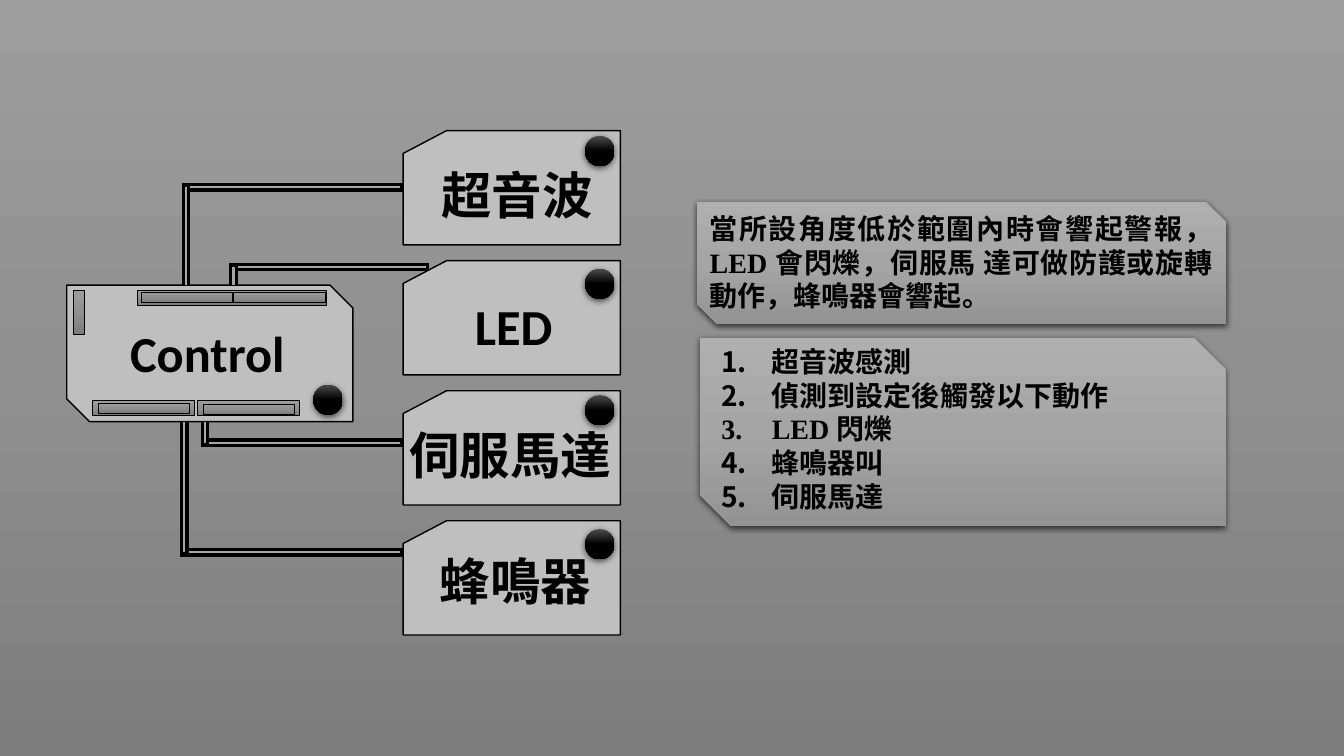
from copy import deepcopy
from lxml.etree import SubElement
from pptx import Presentation
from pptx.dml.color import RGBColor
from pptx.enum.shapes import MSO_CONNECTOR, MSO_SHAPE
from pptx.enum.text import MSO_AUTO_SIZE, PP_ALIGN
from pptx.oxml.ns import qn
from pptx.util import Inches, Pt

prs = Presentation()
prs.slide_width, prs.slide_height = Inches(13.333), Inches(7.5)
slide = prs.slides.add_slide(prs.slide_layouts[6])
rgb = RGBColor.from_string

# Grid of 160 columns by 90 rows, with square cells
U = prs.slide_height / 90
BLACK, CARD, WIRE = "000000", "BFBFBF", "A6A6A6"
METAL = ["9D9D9D", "909090", "7C7C7C"]
PANEL = ["AFAFAF", "A5A5A5", "939393"]
PIN = ["4B4B4B", BLACK, BLACK]


def add_shape(kind, box, colours, line=0, shadow=False):
    """One colour gives a solid fill, three a top-to-bottom gradient."""
    sp = slide.shapes.add_shape(kind, *[round(v * U) for v in box])
    if len(colours) == 1:
        sp.fill.solid()
        sp.fill.fore_color.rgb = rgb(colours[0])
    else:
        sp.fill.gradient()
        stops = sp._element.spPr.find(qn("a:gradFill")).find(qn("a:gsLst"))
        stops.insert(1, deepcopy(stops[0]))
        for i, stop in enumerate(sp.fill.gradient_stops):
            stop.position = i / 2
            stop.color.rgb = rgb(colours[i])
        sp.fill.gradient_angle = 270
    if line:
        sp.line.color.rgb = rgb(BLACK)
        sp.line.width = Pt(line)
    else:
        sp.line.fill.background()
    sp.shadow.inherit = False
    if shadow:
        effects = sp._element.spPr.find(qn("a:effectLst"))
        shade = SubElement(effects, qn("a:outerShdw"), blurRad=str(Pt(4.5)),
                           dist=str(Pt(1.5)), dir="5400000", rotWithShape="0")
        colour = SubElement(shade, qn("a:srgbClr"), val=BLACK)
        SubElement(colour, qn("a:alpha"), val="63000")


def add_text(box, text, size, font, align=None):
    tb = slide.shapes.add_textbox(*[round(v * U) for v in box])
    tf = tb.text_frame
    tf.word_wrap = True
    tf.auto_size = MSO_AUTO_SIZE.SHAPE_TO_FIT_TEXT
    tf.text = text
    for p in tf.paragraphs:
        p.alignment = align
        for r in p.runs:
            r.font.size, r.font.name, r.font.bold = Pt(size), font, True
            r.font.color.rgb = rgb(BLACK)
    return tf


# Background
add_shape(MSO_SHAPE.RECTANGLE, (0, 0, 160, 90), METAL)

# Controller board with its sockets
add_shape(MSO_SHAPE.SNIP_2_DIAG_RECTANGLE, (7.95, 33.95, 34.05, 16.25), [CARD], 1)
add_text((14.3, 37.8, 33.7, 8.5), "Control", 36, "Calibri")
sockets = [(16.3, 34.55, 22.6, 1.8), (11, 47.7, 12.15, 1.8),
           (23.5, 47.7, 12.15, 1.8), (8.75, 34.55, 1.35, 5.3)]
slots = [(x, y, 10.9, 1.2) for x, y in
         [(11.7, 48), (24.2, 48.1), (16.8, 34.8), (27.8, 34.8)]]
for box in sockets + slots:
    add_shape(MSO_SHAPE.RECTANGLE, box, METAL, 0.5)
add_shape(MSO_SHAPE.OVAL, (37.3, 45.8, 3.5, 3.6), PIN, shadow=True)

# Module cards: name, label left, label top, pin top
modules = [("超音波", 51.35, 18.95, 16.2), ("LED", 55.35, 34.5, 32),
           ("伺服馬達", 47.55, 49.9, 47.05), ("蜂鳴器", 51.15, 64.9, 63)]
for i, (name, x, y, pin_y) in enumerate(modules):
    add_shape(MSO_SHAPE.FLOWCHART_CARD, (48, 15.55 + 15.48 * i, 25.85, 13.6), [CARD], 1)
    add_text((x, y, 33.7, 8.5), name, 36, "Calibri")
    add_shape(MSO_SHAPE.OVAL, (69.65, pin_y, 3.5, 3.6), PIN, shadow=True)

# Wires: column of the riser, row of the run, row at the board, end column
wires = [(22.15, 22.3, 33.95, 48), (27.8, 31.8, 33.95, 51.1),
         (24.4, 52.7, 50.25, 48), (21.95, 65.75, 50.25, 48)]
for x, y, board, end in wires:
    strands = [(x, board, x, y, BLACK, 6), (x - 0.5, y, end, y, BLACK, 6),
               (x + 0.5, y, end - 0.4, y, WIRE, 1.5), (x, board, x, y, WIRE, 1.5)]
    for *ends, colour, width in strands:
        cx = slide.shapes.add_connector(MSO_CONNECTOR.STRAIGHT, *[round(v * U) for v in ends])
        cx.line.color.rgb = rgb(colour)
        cx.line.width = Pt(width)
        SubElement(cx._element.spPr, qn("a:effectLst"))

# Description panel
add_shape(MSO_SHAPE.SNIP_2_DIAG_RECTANGLE, (82.95, 24, 63, 14.55), PANEL, shadow=True)
add_text((83.3, 24.6, 62.2, 13.3),
         "當所設角度低於範圍內時會響起警報，LED 會閃爍，伺服馬 達可做防護或旋轉動作，蜂鳴器會響起。",
         20, "Times New Roman", PP_ALIGN.JUSTIFY)

# Numbered steps panel
add_shape(MSO_SHAPE.SNIP_2_DIAG_RECTANGLE, (83.3, 40.2, 62.6, 22.4), PANEL, shadow=True)
steps = ["超音波感測", "偵測到設定後觸發以下動作", "LED 閃爍", "蜂鳴器叫", "伺服馬達"]
tf = add_text((84.7, 40.45, 62.2, 21.4), "\n".join(steps), 20,
              "Times New Roman", PP_ALIGN.JUSTIFY)
for p in tf.paragraphs:
    pPr = p._p.get_or_add_pPr()
    pPr.set("marL", str(Inches(0.5)))
    pPr.set("indent", str(-Inches(0.5)))
    SubElement(pPr, qn("a:buAutoNum"), type="arabicPeriod")

prs.save("out.pptx")
